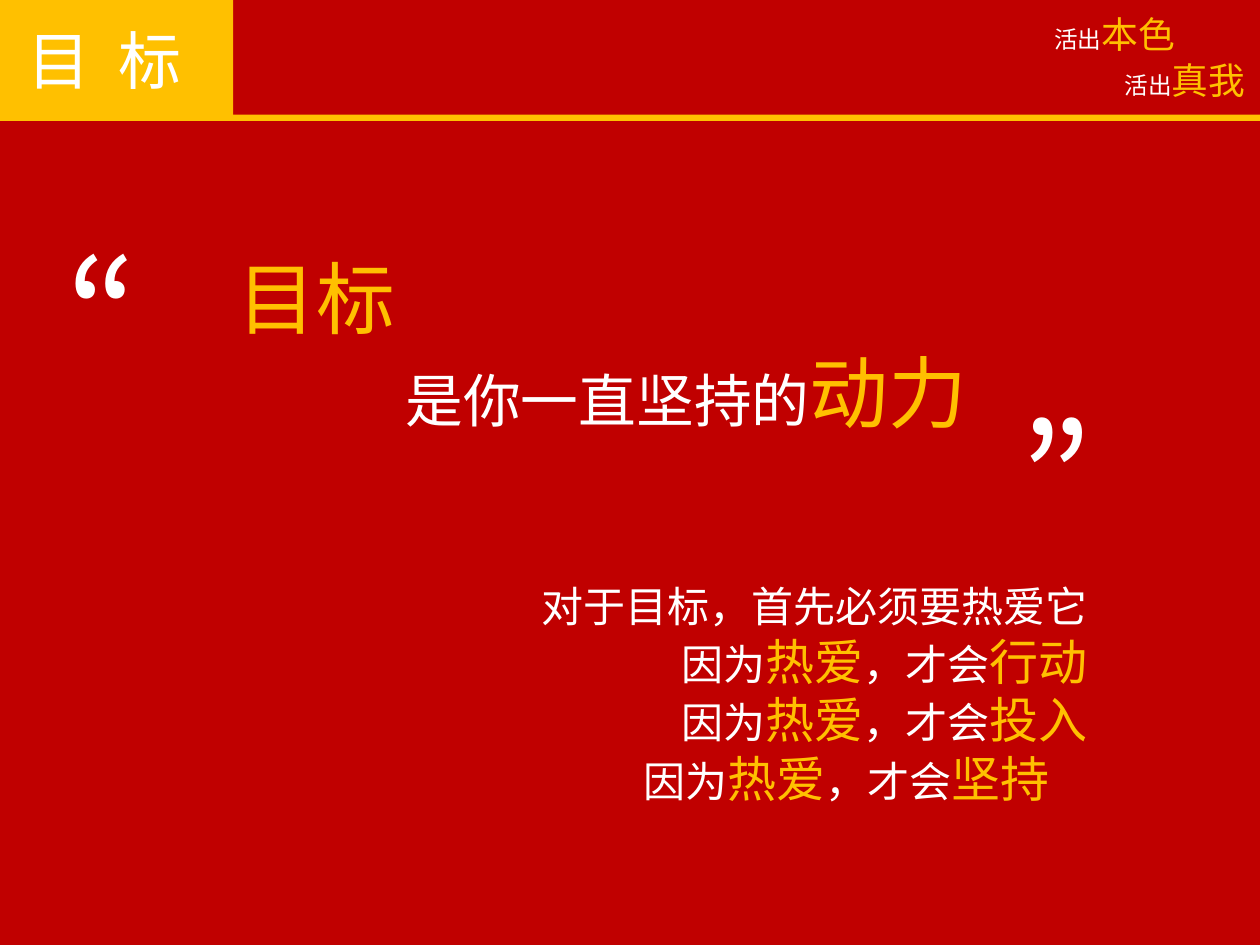
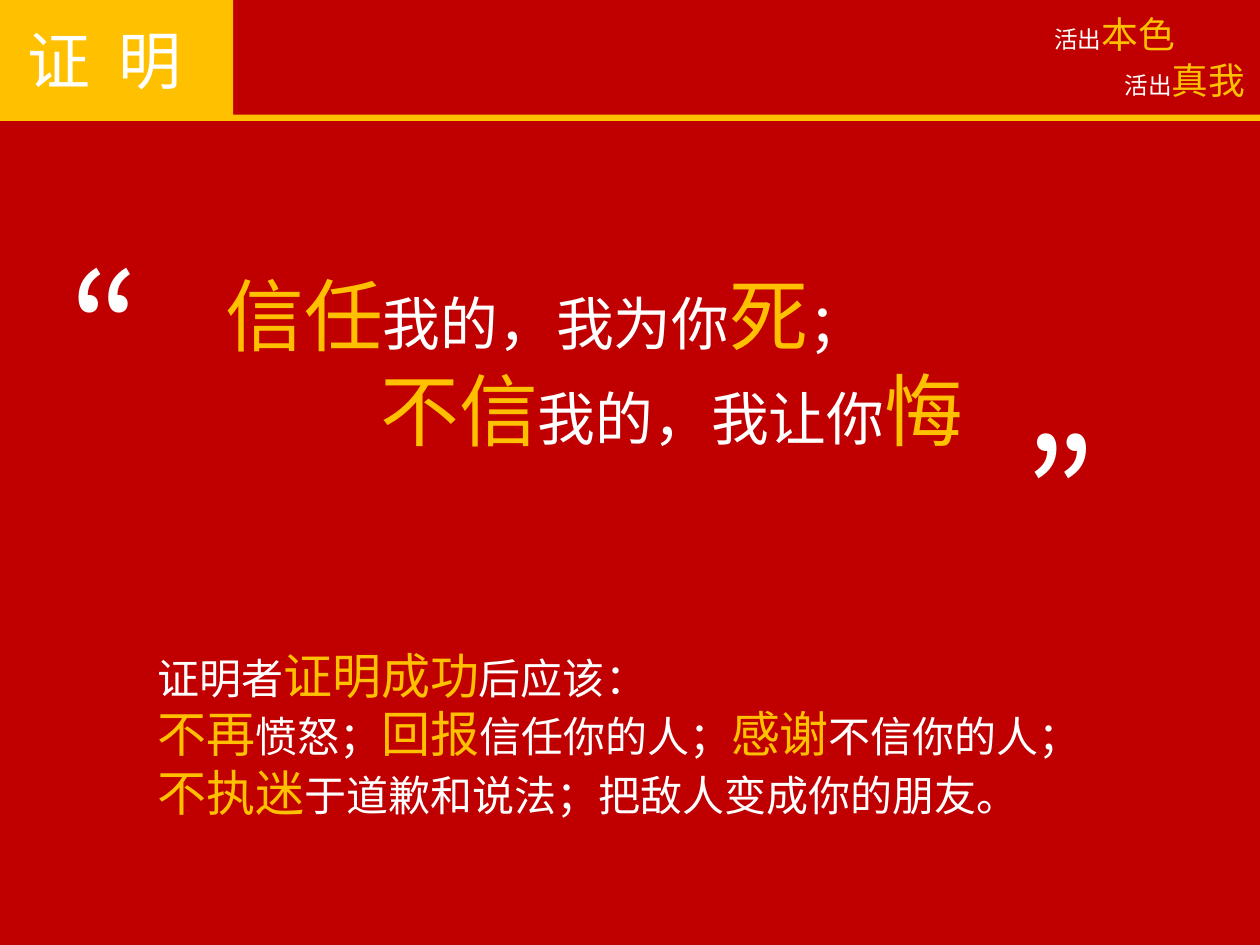
"""Build two red-and-gold quotation slides with a shared header."""

from dataclasses import dataclass

from lxml.etree import SubElement
from pptx import Presentation
from pptx.dml.color import RGBColor
from pptx.enum.shapes import MSO_SHAPE
from pptx.enum.text import MSO_ANCHOR, MSO_AUTO_SIZE, PP_ALIGN
from pptx.oxml.ns import qn
from pptx.shapes.autoshape import Shape
from pptx.slide import Slide
from pptx.util import Inches, Pt

COLOURS = {"red": "C00000", "gold": "FFC000", "white": "FFFFFF"}
CJK_FONT = "Noto Sans CJK JP"
BODY_FONT = "Courier New"
TITLE_ONLY = 5


@dataclass(frozen=True)
class Box:
    """A position and size in inches."""

    left: float
    top: float
    width: float
    height: float

    def lengths(self) -> tuple:
        """Return the four values as lengths."""
        return tuple(Inches(value) for value in (self.left, self.top, self.width, self.height))


@dataclass(frozen=True)
class TextStyle:
    """Sizes of plain and emphasised text, with its Latin font."""

    size: float
    emphasis_size: float
    font: str = CJK_FONT


@dataclass(frozen=True)
class Line:
    """One paragraph, where asterisks enclose emphasised words."""

    text: str
    alignment: PP_ALIGN = PP_ALIGN.LEFT
    indent: float = 0


@dataclass(frozen=True)
class QuotationSlide:
    """The content of one slide."""

    title: str
    quotation_box: Box
    quotation: tuple[Line, ...]
    opening_mark: Box
    closing_mark: Box
    body_box: Box
    body: tuple[Line, ...]


TITLE_STYLE = TextStyle(36, 36)
STRAPLINE_STYLE = TextStyle(13.5, 21)
QUOTATION_STYLE = TextStyle(33, 45)
MARK_STYLE = TextStyle(86.2, 86.2)
BODY_STYLE = TextStyle(24, 28, BODY_FONT)

TITLE_BOX = Box(0.12, 0.12, 1.61, 0.71)
HEADER_BANDS = (Box(0, 0.91, 10, 0.05), Box(0, 0, 1.85, 0.92))
STRAPLINES = (
    (Box(8.27, 0.04, 1.17, 0.45), Line("活出*本色*")),
    (Box(8.83, 0.41, 1.17, 0.45), Line("活出*真我*")),
)

SLIDES = (
    QuotationSlide(
        title="目  标",
        quotation_box=Box(1.79, 1.93, 6.94, 1.92),
        quotation=(Line("*目标*"), Line("是你一直坚持的*动力*", indent=1.33)),
        opening_mark=Box(0.43, 1.7, 1.41, 1.55),
        closing_mark=Box(8, 3, 1.41, 1.55),
        body_box=Box(3.19, 4.56, 5.54, 1.99),
        body=(
            Line("对于目标，首先必须要热爱它", PP_ALIGN.RIGHT),
            Line("因为*热爱*，才会*行动*", PP_ALIGN.RIGHT),
            Line("因为*热爱*，才会*投入*", PP_ALIGN.RIGHT),
            Line("因为*热爱*，才会*坚持*", indent=1.82),
        ),
    ),
    QuotationSlide(
        title="证  明",
        quotation_box=Box(1.69, 2.07, 7.05, 1.92),
        quotation=(
            Line("*信任*我的，我为你*死*；"),
            Line("*不信*我的，我让你*悔*", indent=1.23),
        ),
        opening_mark=Box(0.45, 1.81, 1.41, 1.55),
        closing_mark=Box(8.03, 3.13, 1.41, 1.55),
        body_box=Box(1.15, 5.07, 7.58, 1.51),
        body=(
            Line("证明者*证明成功*后应该："),
            Line("*不再*愤怒；*回报*信任你的人；*感谢*不信你的人；"),
            Line("*不执迷*于道歉和说法；把敌人变成你的朋友。"),
        ),
    ),
)


def colour(name: str) -> RGBColor:
    """Look up a palette colour."""
    return RGBColor.from_string(COLOURS[name])


def write_lines(shape: Shape, lines: tuple[Line, ...], style: TextStyle, wrap: bool = True) -> None:
    """Fill a shape with paragraphs of plain and emphasised runs."""
    frame = shape.text_frame
    frame_format = {
        "word_wrap": wrap,
        "auto_size": MSO_AUTO_SIZE.SHAPE_TO_FIT_TEXT,
        "vertical_anchor": MSO_ANCHOR.TOP,
    }
    for attribute, value in frame_format.items():
        setattr(frame, attribute, value)
    for index, line in enumerate(lines):
        paragraph = frame.add_paragraph() if index else frame.paragraphs[0]
        paragraph.alignment = line.alignment
        if line.indent:
            properties = paragraph._p.get_or_add_pPr()
            properties.set("marL", str(Inches(line.indent)))
            properties.set("indent", "0")
        for position, text in enumerate(line.text.split("*")):
            if not text:
                continue
            emphasised = position % 2 == 1
            run = paragraph.add_run()
            run.text = text
            font_format = {
                "name": style.font,
                "size": Pt(style.emphasis_size if emphasised else style.size),
            }
            for attribute, value in font_format.items():
                setattr(run.font, attribute, value)
            run.font.color.rgb = colour("gold" if emphasised else "white")
            SubElement(run._r.get_or_add_rPr(), qn("a:ea"), typeface=CJK_FONT)


def add_text(
    slide: Slide, box: Box, lines: tuple[Line, ...], style: TextStyle, wrap: bool = True
) -> None:
    """Add a text box."""
    write_lines(slide.shapes.add_textbox(*box.lengths()), lines, style, wrap)


def add_header(slide: Slide, title: str) -> None:
    """Draw the background, gold bands, title and straplines."""
    slide.background.fill.solid()
    slide.background.fill.fore_color.rgb = colour("red")
    for box in HEADER_BANDS:
        band = slide.shapes.add_shape(MSO_SHAPE.RECTANGLE, *box.lengths())
        band.shadow.inherit = False
        band.fill.solid()
        band.fill.fore_color.rgb = colour("gold")
        band.line.fill.background()
    placeholder = slide.shapes.title
    for attribute, value in zip(("left", "top", "width", "height"), TITLE_BOX.lengths()):
        setattr(placeholder, attribute, value)
    placeholder.element.getparent().append(placeholder.element)
    write_lines(placeholder, (Line(title),), TITLE_STYLE)
    for box, line in STRAPLINES:
        add_text(slide, box, (line,), STRAPLINE_STYLE, wrap=False)


def add_quotation_slide(presentation: Presentation, content: QuotationSlide) -> None:
    """Add a slide with a header, a quotation and a body text."""
    slide = presentation.slides.add_slide(presentation.slide_layouts[TITLE_ONLY])
    add_header(slide, content.title)
    add_text(slide, content.quotation_box, content.quotation, QUOTATION_STYLE)
    for box, mark in ((content.opening_mark, "“"), (content.closing_mark, "”")):
        add_text(slide, box, (Line(mark),), MARK_STYLE)
    add_text(slide, content.body_box, content.body, BODY_STYLE)


def main() -> None:
    """Build and save the presentation."""
    presentation = Presentation()
    presentation.slide_width = Inches(10)
    presentation.slide_height = Inches(7.5)
    for content in SLIDES:
        add_quotation_slide(presentation, content)
    presentation.save("out.pptx")


if __name__ == "__main__":
    main()
